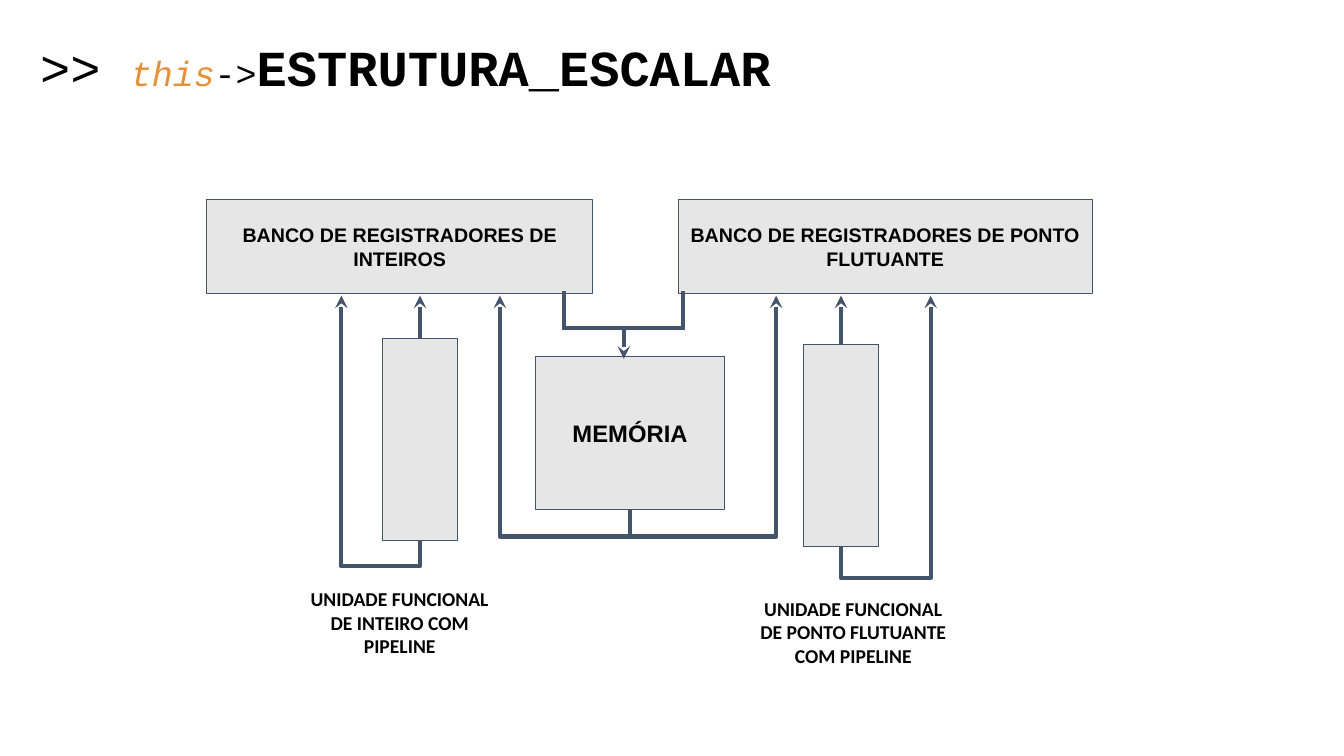
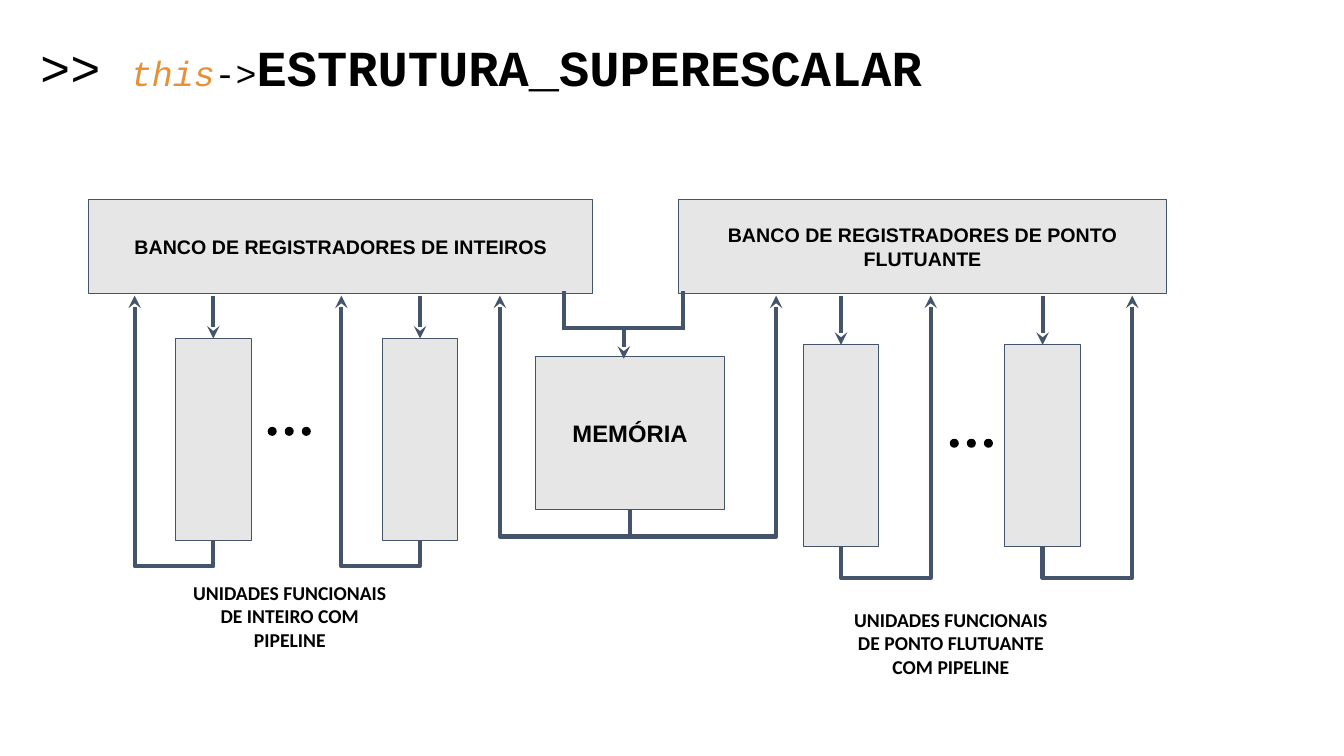
"""Build two slides comparing scalar and superscalar processor structures."""
from pptx import Presentation
from pptx.dml.color import RGBColor
from pptx.enum.shapes import MSO_CONNECTOR as Link, MSO_SHAPE as Shape
from pptx.enum.text import MSO_ANCHOR as Anchor, PP_ALIGN as Align
from pptx.oxml.ns import qn
from pptx.util import Cm, Pt
from lxml.etree import SubElement

INK, EDGE, PANEL, ACCENT, PAPER = "000000", "44546A", "E7E6E6", "E69138", "FFFFFF"
MONO, SANS, LABEL = "Courier New", "Arial", "Calibri"

BANK_TOP, BANK_HEIGHT, TIP_Y = 5.03, 2.36, 7.45
MEMORY = (13.49, 8.99, 4.78, 3.84)
MEMORY_TIPS, MEMORY_DROP = (12.6, 19.56), 0.69
OUTLETS, MERGE_Y = (14.22, 17.22), 8.26
UNIT_WIDTH, UNIT_HEIGHT = 1.91, 5.08
DOT, DOT_PITCH, DOT_COUNT = 0.2, 0.43, 3

INTEGER = {"bank": "BANCO DE REGISTRADORES DE INTEIROS",
           "top": 8.53, "run": -1.98, "drop": 0.66}
FLOATING = {"bank": "BANCO DE REGISTRADORES DE PONTO FLUTUANTE",
            "top": 8.69, "run": 2.26, "drop": 0.79}

SLIDES = [
    {"title": "ESTRUTURA_ESCALAR", "to_unit": False, "sides": [
        {**INTEGER, "left": 5.21, "width": 9.73, "units": [9.63], "dots": None,
         "caption": "UNIDADE FUNCIONAL DE INTEIRO COM PIPELINE", "at": (7.32, 14.55)},
        {**FLOATING, "left": 17.09, "width": 10.44, "units": [20.24], "dots": None,
         "caption": "UNIDADE FUNCIONAL DE PONTO FLUTUANTE COM PIPELINE",
         "at": (18.75, 14.78)}]},
    {"title": "ESTRUTURA_SUPERESCALAR", "to_unit": True, "sides": [
        {**INTEGER, "left": 2.24, "width": 12.7, "units": [4.42, 9.63],
         "dots": (6.76, 10.77),
         "caption": "UNIDADES FUNCIONAIS DE INTEIRO COM PIPELINE", "at": (4.55, 14.38)},
        {**FLOATING, "left": 17.09, "width": 12.32, "units": [20.24, 25.32],
         "dots": (23.95, 11.07),
         "caption": "UNIDADES FUNCIONAIS DE PONTO FLUTUANTE COM PIPELINE",
         "at": (21.21, 15.06)}]},
]


def colour(value):
    """Turn a hex string into a colour."""
    return RGBColor.from_string(value)


def add_span(para, text, size, font, ink=INK, bold=False, italic=False):
    """Add one styled run."""
    span = para.add_run()
    span.text = text
    span.font.size, span.font.name = Pt(size), font
    span.font.bold, span.font.italic = bold, italic
    span.font.color.rgb = colour(ink)


def set_frame(frame, margin=0.25):
    """Wrap a text frame, set its margins and return its first paragraph."""
    frame.word_wrap = True
    frame.margin_left = frame.margin_right = Cm(0.25)
    frame.margin_top = frame.margin_bottom = Cm(margin)
    return frame.paragraphs[0]


def add_box(shapes, kind, place, fill, edge):
    """Add a filled preset shape."""
    box = shapes.add_shape(kind, *map(Cm, place))
    box.shadow.inherit = False
    box.fill.solid()
    box.fill.fore_color.rgb = colour(fill)
    box.line.color.rgb = colour(edge)
    box.line.width = Pt(0.75)
    return box


def add_panel(page, place, text="", size=14):
    """Add a grey block with an optional centred label."""
    box = add_box(page.shapes, Shape.RECTANGLE, place, PANEL, EDGE)
    if text:
        para = set_frame(box.text_frame)
        box.text_frame.vertical_anchor = Anchor.MIDDLE
        para.alignment = Align.CENTER
        add_span(para, text, size, SANS, bold=True)
    return box


def add_link(page, kind, start, end, arrow=True):
    """Add a connector, with an arrowhead at its end if asked."""
    link = page.shapes.add_connector(kind, *map(Cm, (*start, *end)))
    link.line.color.rgb = colour(EDGE)
    link.line.width = Pt(3)
    if arrow:
        SubElement(link.line._get_or_add_ln(), qn("a:tailEnd"), type="stealth")
    SubElement(link._element.spPr, qn("a:effectLst"))
    return link


def add_return(page, x, bottom, tip_x, drop):
    """Add an elbow that leaves a block downwards and rises to the bank."""
    rise, run = bottom - TIP_Y, abs(tip_x - x)
    left = (x + tip_x - rise) / 2
    top = (bottom + TIP_Y - run) / 2
    link = add_link(page, Link.ELBOW, (left, top), (left + rise, top + run))
    frame = link._element.spPr.find(qn("a:xfrm"))
    frame.set("rot", "16200000" if tip_x > x else "5400000")
    if tip_x < x:
        frame.set("flipH", "1")
    guides = link._element.spPr.find(qn("a:prstGeom")).get_or_add_avLst()
    SubElement(guides, qn("a:gd"), name="adj1", fmla=f"val {round(-drop / rise * 100000)}")


def add_title(page, name):
    """Add the code-like title line."""
    box = page.shapes.add_textbox(Cm(0), Cm(0.79), Cm(33.87), Cm(1.88))
    para = set_frame(box.text_frame, 0.13)
    add_span(para, " >> ", 36, MONO)
    add_span(para, "this", 25, MONO, ACCENT, italic=True)
    add_span(para, "->", 25, MONO)
    add_span(para, name, 36, MONO, bold=True)


def add_unit(page, side, left, to_unit):
    """Add a functional unit with its bank arrow and return path."""
    top, centre = side["top"], left + UNIT_WIDTH / 2
    unit = add_panel(page, (left, top, UNIT_WIDTH, UNIT_HEIGHT))
    at_unit, at_bank = (centre, top), (centre, TIP_Y)
    if to_unit:
        add_link(page, Link.STRAIGHT, at_bank, at_unit).end_connect(unit, 0)
    else:
        add_link(page, Link.STRAIGHT, at_unit, at_bank).begin_connect(unit, 0)
    add_return(page, centre, top + UNIT_HEIGHT, centre + side["run"], side["drop"])


def add_side(page, side, to_unit):
    """Add a register bank, its units, dots and caption."""
    add_panel(page, (side["left"], BANK_TOP, side["width"], BANK_HEIGHT), side["bank"])
    for left in side["units"]:
        add_unit(page, side, left, to_unit)
    if side["dots"]:
        x, y = side["dots"]
        group = page.shapes.add_group_shape()
        for index in range(DOT_COUNT):
            place = (x + index * DOT_PITCH, y, DOT, DOT)
            add_box(group.shapes, Shape.OVAL, place, INK, INK)
    box = page.shapes.add_textbox(*map(Cm, (*side["at"], 5.51, 1.65)))
    para = set_frame(box.text_frame)
    para.alignment = Align.CENTER
    add_span(para, side["caption"], 14, LABEL, bold=True)


def add_memory(page):
    """Add the memory block and its paths to and from both banks."""
    left, top, width, height = MEMORY
    add_panel(page, MEMORY, "MEMÓRIA", 17)
    for tip_x in MEMORY_TIPS:
        add_return(page, left + width / 2, top + height, tip_x, MEMORY_DROP)
    for x in OUTLETS:
        add_link(page, Link.STRAIGHT, (x, BANK_TOP + BANK_HEIGHT - 0.05),
                 (x, MERGE_Y + 0.05), arrow=False)
    first, last = OUTLETS
    middle = (first + last) / 2
    add_link(page, Link.STRAIGHT, (first, MERGE_Y), (last, MERGE_Y), arrow=False)
    add_link(page, Link.STRAIGHT, (middle, MERGE_Y), (middle, top + 0.05))


def main():
    """Build and save the deck."""
    deck = Presentation()
    deck.slide_width, deck.slide_height = Cm(33.87), Cm(19.05)
    for content in SLIDES:
        page = deck.slides.add_slide(deck.slide_layouts[6])
        page.background.fill.solid()
        page.background.fill.fore_color.rgb = colour(PAPER)
        add_title(page, content["title"])
        for side in content["sides"]:
            add_side(page, side, content["to_unit"])
        add_memory(page)
    deck.save("out.pptx")


if __name__ == "__main__":
    main()
